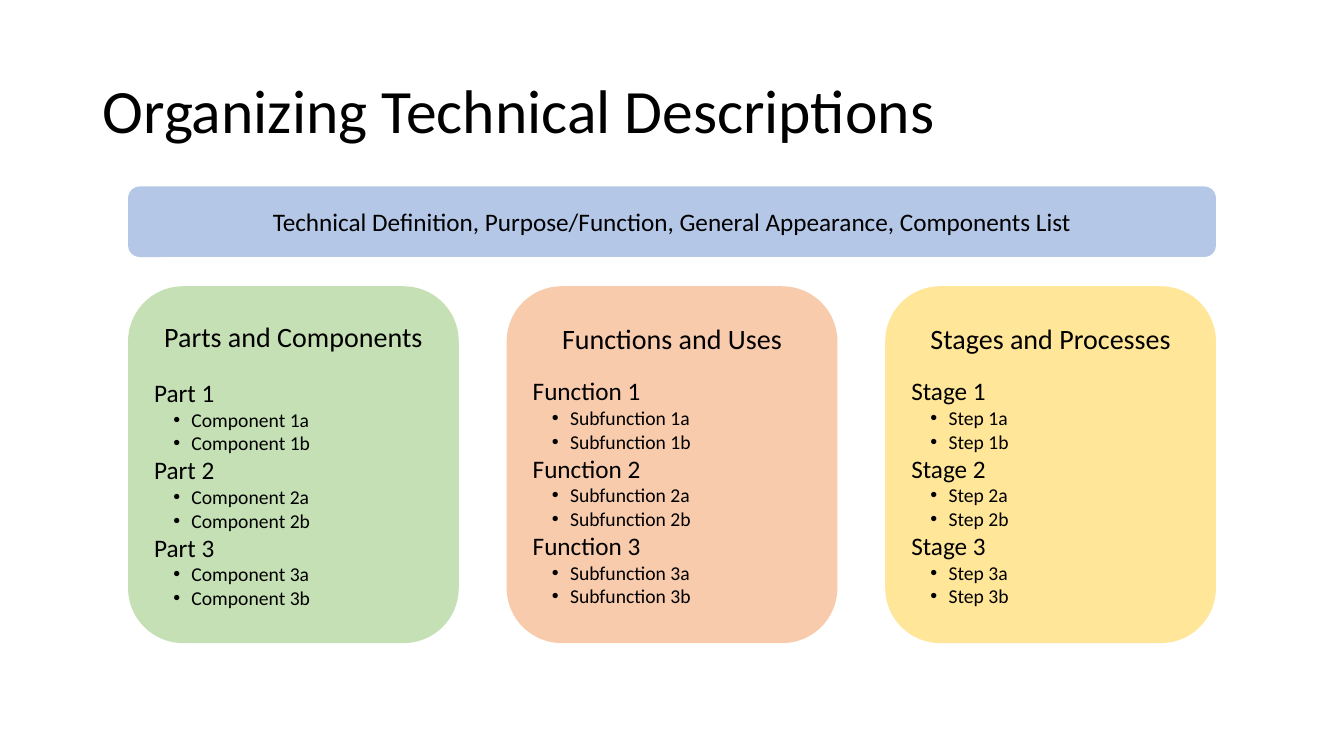
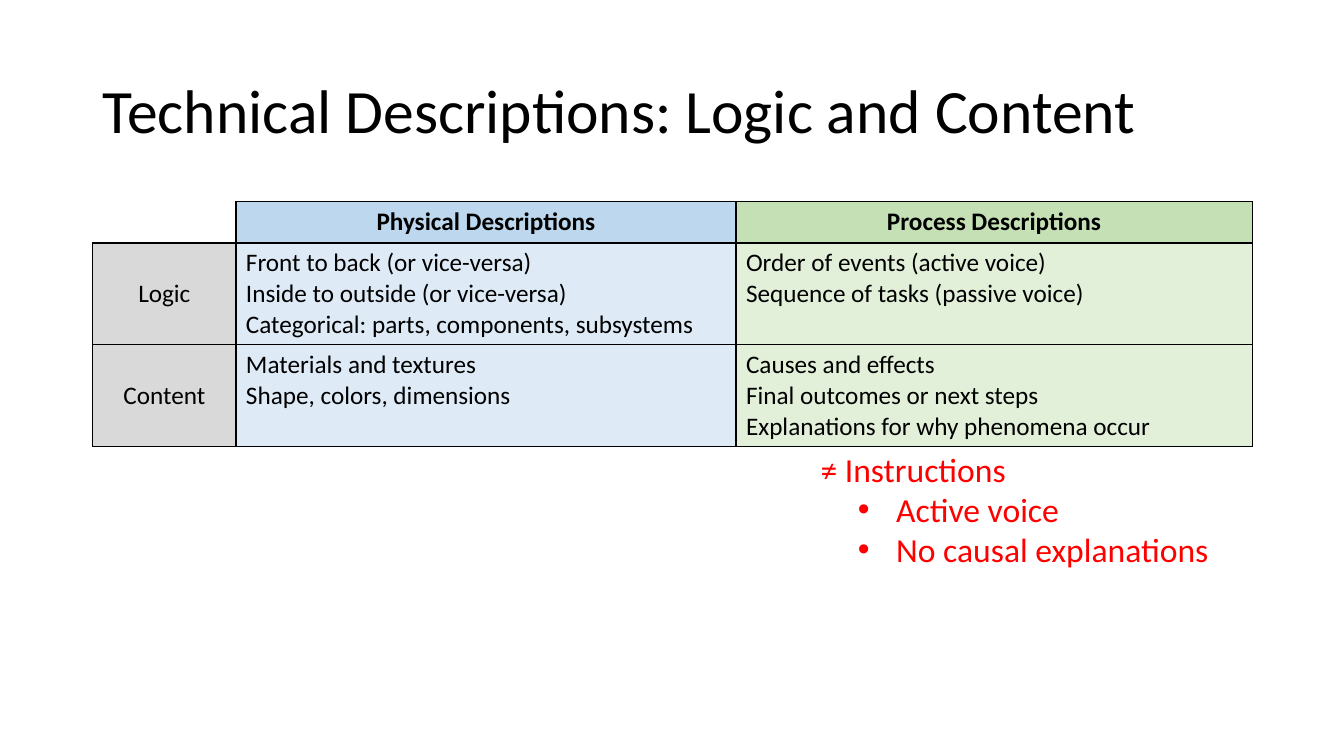
"""Build two slides on organizing technical descriptions."""
from lxml.etree import SubElement
from pptx import Presentation
from pptx.dml.color import RGBColor
from pptx.enum.shapes import MSO_SHAPE
from pptx.enum.text import MSO_ANCHOR as ANCHOR, PP_ALIGN as ALIGN
from pptx.oxml.ns import qn
from pptx.util import Inches, Pt

COLORS = {
    "text": "000000", "note": "FF0000", "blue": "B4C7E7", "green": "C5E0B4",
    "orange": "F8CBAD", "yellow": "FFE699", "head_blue": "BDD7EE",
    "pale_blue": "DEEBF7", "pale_green": "E2F0D9", "gray": "D9D9D9",
}
FONT = "Calibri"

ORGANIZING = "Organizing Technical Descriptions"
OVERVIEW = "Technical Definition, Purpose/Function, General Appearance, Components List"
PANELS = [
    ("Parts and Components", "Part", "Component", "green", 17),
    ("Functions and Uses", "Function", "Subfunction", "orange", 14.6),
    ("Stages and Processes", "Stage", "Step", "yellow", 14.6),
]

LOGIC_CONTENT = "Technical Descriptions: Logic and Content"
TABLE = [
    [[], ["Physical Descriptions"], ["Process Descriptions"]],
    [["Logic"],
     ["Front to back (or vice-versa)", "Inside to outside (or vice-versa)",
      "Categorical: parts, components, subsystems"],
     ["Order of events (active voice)", "Sequence of tasks (passive voice)"]],
    [["Content"],
     ["Materials and textures", "Shape, colors, dimensions"],
     ["Causes and effects", "Final outcomes or next steps",
      "Explanations for why phenomena occur"]],
]
HEAD_FILLS = [None, "head_blue", "green"]
BODY_FILLS = ["gray", "pale_blue", "pale_green"]
COL_WIDTHS = [1.42, 4.96, 5.12]
ROW_HEIGHTS = [0.41, 1.01, 1.01]
NOTE = ["≠ Instructions", "Active voice", "No causal explanations"]

LEFT, WIDTH = 1.27, 10.79
PANEL_W, PANEL_H, PANEL_TOP = 3.28, 3.54, 2.84


def rgb(name):
    return RGBColor.from_string(COLORS[name])


def add_bullet(p, margin, hanging):
    pPr = p._p.get_or_add_pPr()
    pPr.set("marL", str(Inches(margin)))
    pPr.set("indent", str(-Inches(hanging)))
    SubElement(pPr, qn("a:buFont")).set("typeface", "Arial")
    SubElement(pPr, qn("a:buChar")).set("char", "•")


def write(tf, lines, color="text"):
    """Write (text, size, paragraph formats, bullet indents, bold) lines."""
    for i, (text, size, formats, bullet, bold) in enumerate(lines):
        p = tf.paragraphs[0] if i == 0 else tf.add_paragraph()
        for name, value in formats.items():
            setattr(p, name, value)
        if bullet:
            add_bullet(p, *bullet)
        r = p.add_run()
        r.text = text
        font = {"name": FONT, "size": Pt(size), "bold": bold}
        for name, value in font.items():
            setattr(r.font, name, value)
        r.font.color.rgb = rgb(color)


def add_text(s, box, lines, color="text", anchor=ANCHOR.TOP):
    tf = s.shapes.add_textbox(*map(Inches, box)).text_frame
    tf.word_wrap, tf.vertical_anchor = True, anchor
    write(tf, lines, color)


def add_panel(s, box, fill, lines):
    sp = s.shapes.add_shape(MSO_SHAPE.ROUNDED_RECTANGLE, *map(Inches, box))
    sp.shadow.inherit = False
    sp.fill.solid()
    sp.fill.fore_color.rgb = rgb(fill)
    sp.line.fill.background()
    sp.text_frame.vertical_anchor = ANCHOR.MIDDLE
    write(sp.text_frame, lines)


def add_slide(prs, title):
    s = prs.slides.add_slide(prs.slide_layouts[6])
    line = (title, 44, {"line_spacing": 0.9}, None, False)
    add_text(s, (0.92, 0.4, 11.5, 1.45), [line], anchor=ANCHOR.MIDDLE)
    return s


def panel_lines(heading, group, item, gap):
    left = {"alignment": ALIGN.LEFT}
    lines = [(heading, 20, {"alignment": ALIGN.CENTER, "space_after": Pt(gap)}, None, False)]
    for n in range(1, 4):
        lines.append((f"{group} {n}", 18, left, None, False))
        lines += [(f"{item} {n}{letter}", 14, left, (0.37, 0.18), False) for letter in "ab"]
    return lines


def add_borders(cell, sides):
    tcPr = cell._tc.get_or_add_tcPr()
    for side in sides:
        ln = SubElement(tcPr, qn(f"a:ln{side}"), w=str(Pt(1)))
        fill = SubElement(ln, qn("a:solidFill"))
        SubElement(fill, qn("a:srgbClr"), val=COLORS["text"])


def fill_cell(cell, row, col, texts):
    add_borders(cell, "LRTB" if texts else "RB")
    fill = (BODY_FILLS if row else HEAD_FILLS)[col]
    if fill:
        cell.fill.solid()
        cell.fill.fore_color.rgb = rgb(fill)
    else:
        cell.fill.background()
    label = row == 0 or col == 0
    cell.vertical_anchor = ANCHOR.MIDDLE if row and col == 0 else ANCHOR.TOP
    formats = {"alignment": ALIGN.CENTER if label else ALIGN.LEFT}
    write(cell.text_frame, [(text, 18, formats, None, row == 0) for text in texts])


def add_comparison(s):
    box = (0.92, 2, sum(COL_WIDTHS), sum(ROW_HEIGHTS))
    table = s.shapes.add_table(len(TABLE), len(COL_WIDTHS), *map(Inches, box)).table
    table.first_row = table.horz_banding = False
    for column, width in zip(table.columns, COL_WIDTHS):
        column.width = Inches(width)
    for row, height in zip(table.rows, ROW_HEIGHTS):
        row.height = Inches(height)
    for i, row in enumerate(TABLE):
        for j, texts in enumerate(row):
            fill_cell(table.cell(i, j), i, j, texts)


def main():
    prs = Presentation()
    prs.slide_width, prs.slide_height = Inches(13.33), Inches(7.5)

    s = add_slide(prs, ORGANIZING)
    overview = (OVERVIEW, 18, {"alignment": ALIGN.CENTER}, None, False)
    add_panel(s, (LEFT, 1.85, WIDTH, 0.7), "blue", [overview])
    step = (WIDTH - PANEL_W) / (len(PANELS) - 1)
    for i, (heading, group, item, fill, gap) in enumerate(PANELS):
        box = (LEFT + i * step, PANEL_TOP, PANEL_W, PANEL_H)
        add_panel(s, box, fill, panel_lines(heading, group, item, gap))

    s = add_slide(prs, LOGIC_CONTENT)
    add_comparison(s)
    note = [(text, 24, {}, (0.75, 0.38) if i else None, False) for i, text in enumerate(NOTE)]
    add_text(s, (8.04, 4.4, 4.05, 1.31), note, "note")

    prs.save("out.pptx")


if __name__ == "__main__":
    main()
